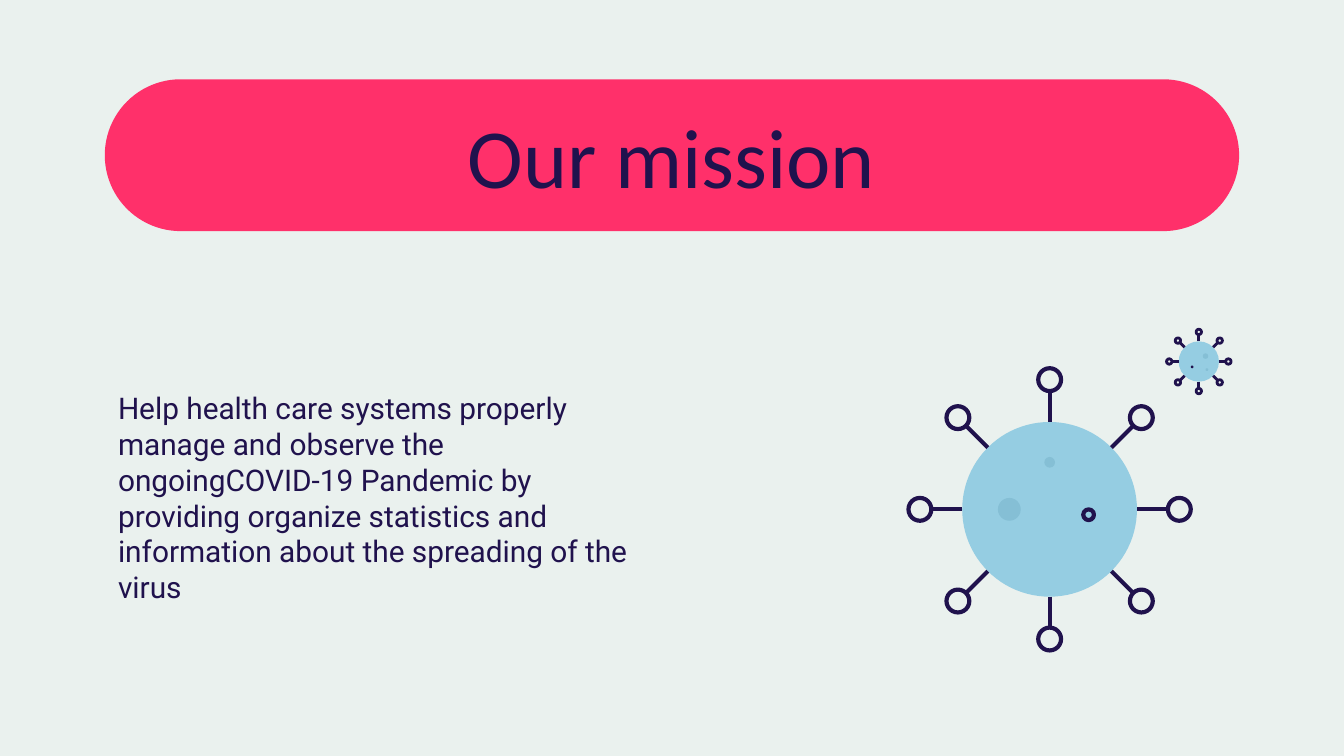
"""Build the "Our mission" slide: a title pill, a statement and two drawn viruses."""
import math

from lxml import etree
from pptx import Presentation
from pptx.dml.color import RGBColor
from pptx.enum.shapes import MSO_CONNECTOR, MSO_SHAPE
from pptx.enum.text import MSO_ANCHOR, PP_ALIGN
from pptx.oxml.ns import qn
from pptx.util import Inches, Pt

OVAL, PILL = MSO_SHAPE.OVAL, MSO_SHAPE.ROUNDED_RECTANGLE
STRAIGHT = MSO_CONNECTOR.STRAIGHT
MIDDLE, LEFT, CENTER = MSO_ANCHOR.MIDDLE, PP_ALIGN.LEFT, PP_ALIGN.CENTER
MIST = RGBColor(0xEA, 0xF1, 0xEE)
PINK = RGBColor(0xFF, 0x30, 0x6A)
NAVY = RGBColor(0x20, 0x12, 0x4D)
SKY = RGBColor(0x95, 0xCD, 0xE2)
SPOT = RGBColor(0x85, 0xBF, 0xD5)


def add_circle(group, x, y, size, fill=None, weight=None):
    """Draw a circle around a centre, filled or outlined."""
    circle = group.shapes.add_shape(
        OVAL, Inches(x - size / 2), Inches(y - size / 2), Inches(size), Inches(size))
    circle.shadow.inherit = False
    if fill is None:
        circle.fill.background()
        circle.line.color.rgb = NAVY
        circle.line.width = Pt(weight)
    else:
        circle.fill.solid()
        circle.fill.fore_color.rgb = fill
        circle.line.fill.background()


def add_stalk(group, x, y, angle, inner, outer, weight):
    """Draw a stalk along an angle between two radii."""
    across, down = math.cos(angle), math.sin(angle)
    stalk = group.shapes.add_connector(
        STRAIGHT, Inches(x + inner * across), Inches(y + inner * down),
        Inches(x + outer * across), Inches(y + outer * down))
    stalk.line.color.rgb = NAVY
    stalk.line.width = Pt(weight)
    etree.SubElement(stalk._element.spPr, qn("a:effectLst"))


deck = Presentation()
deck.slide_width, deck.slide_height = Inches(10), Inches(10 * 9 / 16)
slide = deck.slides.add_slide(deck.slide_layouts[6])
slide.background.fill.solid()
slide.background.fill.fore_color.rgb = MIST

banner = slide.shapes.add_shape(PILL, Inches(0.78), Inches(0.59), Inches(8.44), Inches(1.13))
banner.adjustments[0] = 0.5
banner.shadow.inherit = False
banner.fill.solid()
banner.fill.fore_color.rgb = PINK
banner.line.fill.background()

mission = ("Help health care systems properly manage and observe the ongoingCOVID-19 "
           "Pandemic by providing organize statistics and information about the "
           "spreading of the virus")
texts = [
    (mission, (0.78, 2.31, 4.22, 2.58), (0.2, 0), LEFT, {"name": "Roboto", "size": Pt(16)}),
    ("Our mission", (3.35, 0.63, 3.29, 1.04), (0.1, 0.1), CENTER,
     {"name": "Calibri", "size": Pt(45)}),
]
for words, place, (top, bottom), alignment, font in texts:
    box = slide.shapes.add_textbox(*map(Inches, place))
    frame = {"word_wrap": True, "vertical_anchor": MIDDLE,
             "margin_left": Inches(0.1), "margin_right": Inches(0.1),
             "margin_top": Inches(top), "margin_bottom": Inches(bottom)}
    for key, value in frame.items():
        setattr(box.text_frame, key, value)
    para = box.text_frame.paragraphs[0]
    para.alignment = alignment
    span = para.add_run()
    span.text = words
    for key, value in font.items():
        setattr(span.font, key, value)
    span.font.color.rgb = NAVY

viruses = [
    {"center": (7.81, 3.79), "body": 0.65, "reach": 0.88, "knob": 0.17, "weight": 2.25,
     "spots": [(-0.3, 0, 0.17, SPOT), (0.29, 0.04, 0.08, None), (0, -0.35, 0.08, SPOT)]},
    {"center": (8.92, 2.69), "body": 0.15, "reach": 0.2, "knob": 0.04, "weight": 1.5,
     "spots": [(0.05, -0.04, 0.04, SPOT), (-0.05, 0.04, 0.02, NAVY), (0.06, 0.06, 0.02, SPOT)]},
]
for virus in viruses:
    x, y = virus["center"]
    body, reach, knob, weight = (virus[key] for key in ("body", "reach", "knob", "weight"))
    group = slide.shapes.add_group_shape()
    add_circle(group, x, y, 2 * body, SKY)
    for step in range(8):
        angle = step * math.pi / 4
        add_stalk(group, x, y, angle, body, reach, weight)
        distance = reach + knob / 2
        add_circle(group, x + distance * math.cos(angle), y + distance * math.sin(angle),
                   knob, weight=weight)
    for across, down, size, fill in virus["spots"]:
        add_circle(group, x + across, y + down, size, fill, weight)

deck.save("out.pptx")
